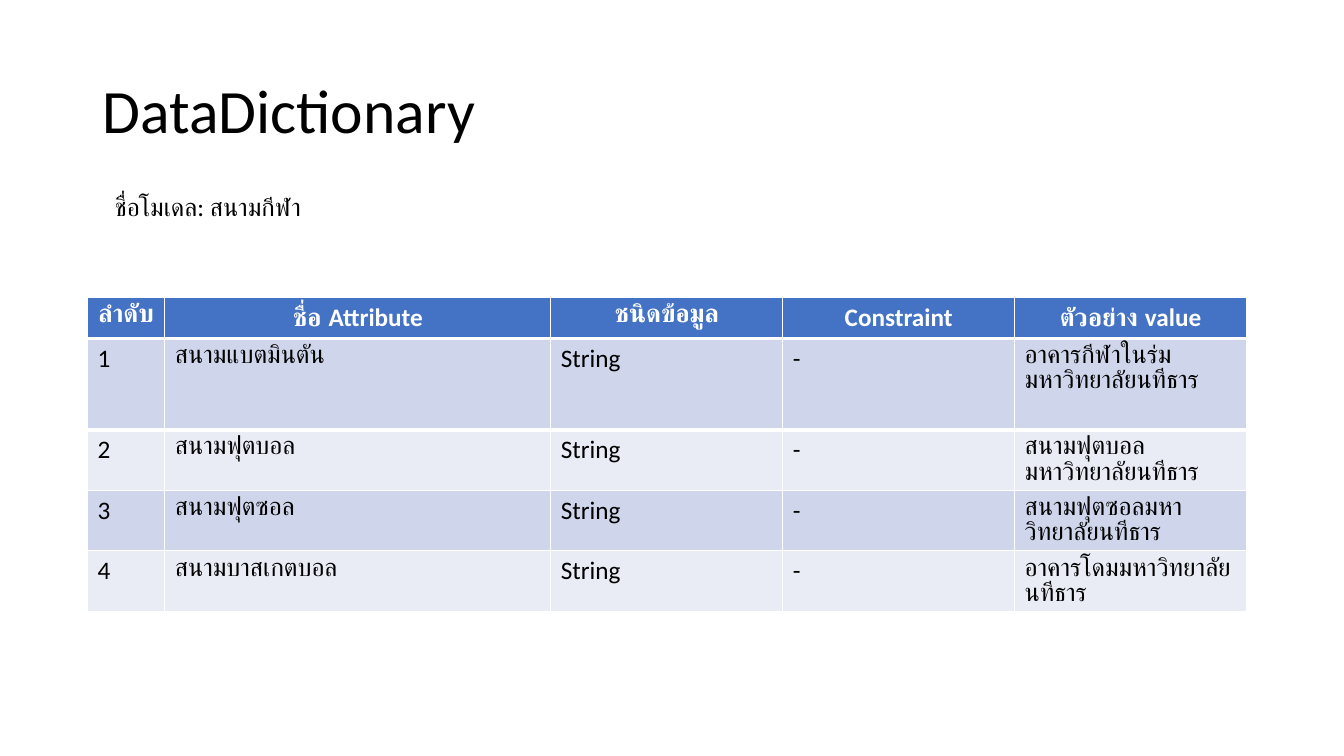
"""Build the data dictionary slide for the sports field model."""
from dataclasses import dataclass

from lxml import etree
from pptx import Presentation
from pptx.dml.color import RGBColor
from pptx.enum import text as t
from pptx.oxml import ns
from pptx.util import Pt

BLACK = RGBColor(0x00, 0x00, 0x00)
WHITE = RGBColor(0xFF, 0xFF, 0xFF)
HEADER_BLUE = RGBColor(0x44, 0x72, 0xC4)
BAND_DARK = RGBColor(0xCF, 0xD5, 0xEA)
BAND_LIGHT = RGBColor(0xE9, 0xEB, 0xF5)
FONT = "Calibri"

HEADERS = ("ลำดับ", "ชื่อ Attribute", "ชนิดข้อมูล", "Constraint", "ตัวอย่าง value")
COLUMN_WIDTHS = (55.3, 275.7, 165.65, 165.65, 165.65)
HEADER_HEIGHT = 29.2


@dataclass(frozen=True)
class Attribute:
    name: str
    example: str
    height: float = 43.2
    kind: str = "String"
    constraint: str = "-"


ATTRIBUTES = (
    Attribute("สนามแบตมินตัน", "อาคารกีฬาในร่มมหาวิทยาลัยนทีธาร", height=65.3),
    Attribute("สนามฟุตบอล", "สนามฟุตบอลมหาวิทยาลัยนทีธาร"),
    Attribute("สนามฟุตซอล", "สนามฟุตซอลมหาวิทยาลัยนทีธาร"),
    Attribute("สนามบาสเกตบอล", "อาคารโดมมหาวิทยาลัยนทีธาร"),
)


def write(frame, words: str, *, size: float = 18, color: RGBColor = BLACK,
          bold: bool = False, align=t.PP_ALIGN.LEFT, spacing: float = 1.0) -> None:
    para = frame.paragraphs[0]
    para.alignment = align
    para.line_spacing = spacing
    span = para.add_run()
    span.text = words
    span.font.name = FONT
    span.font.size = Pt(size)
    span.font.bold = bold
    span.font.color.rgb = color


def add_title(page, words: str) -> None:
    title = page.shapes.title
    title.left, title.top, title.width, title.height = Pt(66), Pt(28.8), Pt(828), Pt(104.4)
    title.text_frame.vertical_anchor = t.MSO_ANCHOR.MIDDLE
    write(title.text_frame, words, size=44, spacing=0.9)


def add_model_name(page, words: str) -> None:
    box = page.shapes.add_textbox(Pt(75), Pt(133.2), Pt(294.5), Pt(29))
    box.text_frame.word_wrap = True
    box.text_frame.auto_size = t.MSO_AUTO_SIZE.SHAPE_TO_FIT_TEXT
    write(box.text_frame, words)


def draw_border(cell, side: str, width: float) -> None:
    line = etree.Element(ns.qn(f"a:{side}"), w=str(Pt(width)))
    fill = etree.SubElement(line, ns.qn("a:solidFill"))
    etree.SubElement(fill, ns.qn("a:srgbClr"), val=str(WHITE))
    cell._tc.get_or_add_tcPr().insert(0, line)


def fill_row(table, index: int, values: tuple[str, ...], height: float,
             fill: RGBColor, **style) -> None:
    table.rows[index].height = Pt(height)
    for cell, value in zip(table.rows[index].cells, values):
        cell.fill.solid()
        cell.fill.fore_color.rgb = fill
        write(cell.text_frame, value, **style)


def add_dictionary(page) -> None:
    height = HEADER_HEIGHT + sum(item.height for item in ATTRIBUTES)
    table = page.shapes.add_table(
        len(ATTRIBUTES) + 1, len(HEADERS), Pt(62.5), Pt(212.5),
        Pt(sum(COLUMN_WIDTHS)), Pt(height)).table
    for column, width in zip(table.columns, COLUMN_WIDTHS):
        column.width = Pt(width)
    fill_row(table, 0, HEADERS, HEADER_HEIGHT, HEADER_BLUE,
             color=WHITE, bold=True, align=t.PP_ALIGN.CENTER)
    for number, item in enumerate(ATTRIBUTES, start=1):
        values = (str(number), item.name, item.kind, item.constraint, item.example)
        fill_row(table, number, values, item.height,
                 BAND_DARK if number % 2 else BAND_LIGHT)
    for index, side in enumerate(("lnB", "lnT")):
        for cell in table.rows[index].cells:
            draw_border(cell, side, 3)


def main() -> None:
    deck = Presentation()
    deck.slide_width, deck.slide_height = Pt(960), Pt(540)
    page = deck.slides.add_slide(deck.slide_layouts[5])
    add_title(page, "DataDictionary")
    add_dictionary(page)
    add_model_name(page, "ชื่อโมเดล: สนามกีฬา")
    deck.save("out.pptx")


if __name__ == "__main__":
    main()
